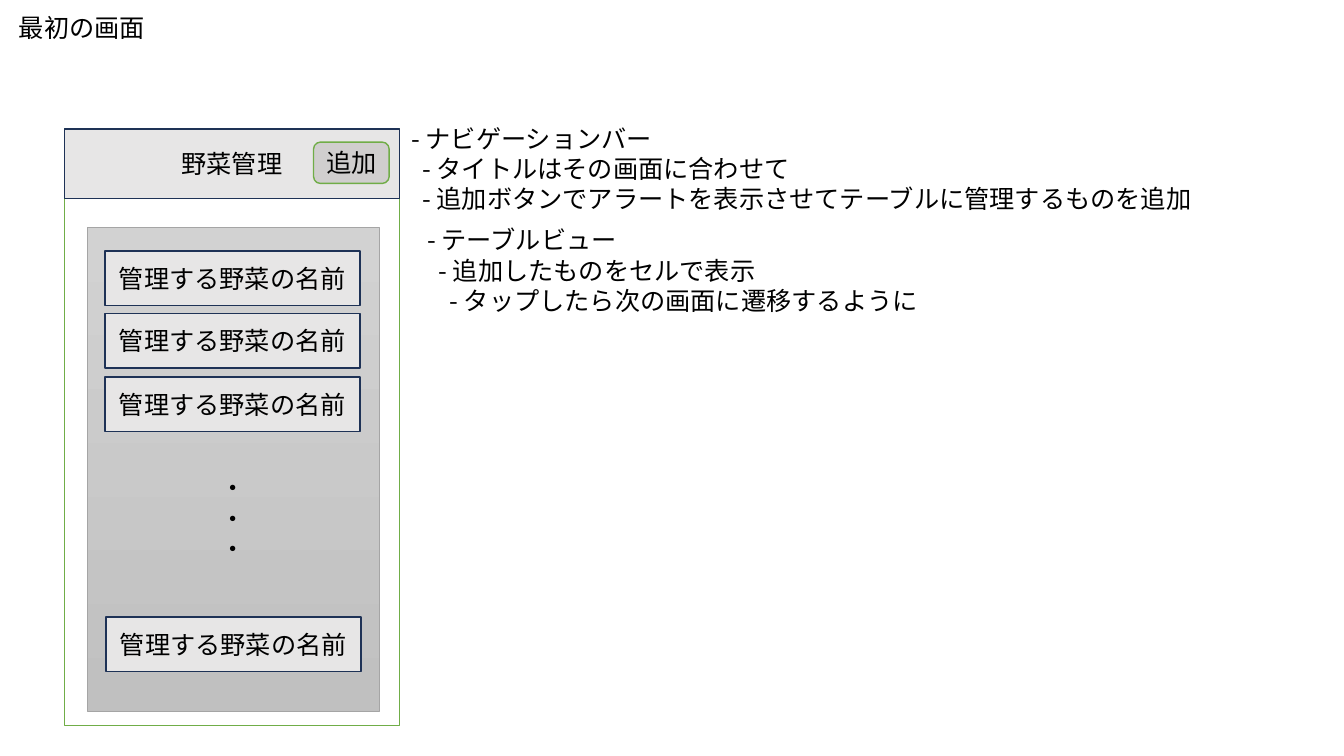
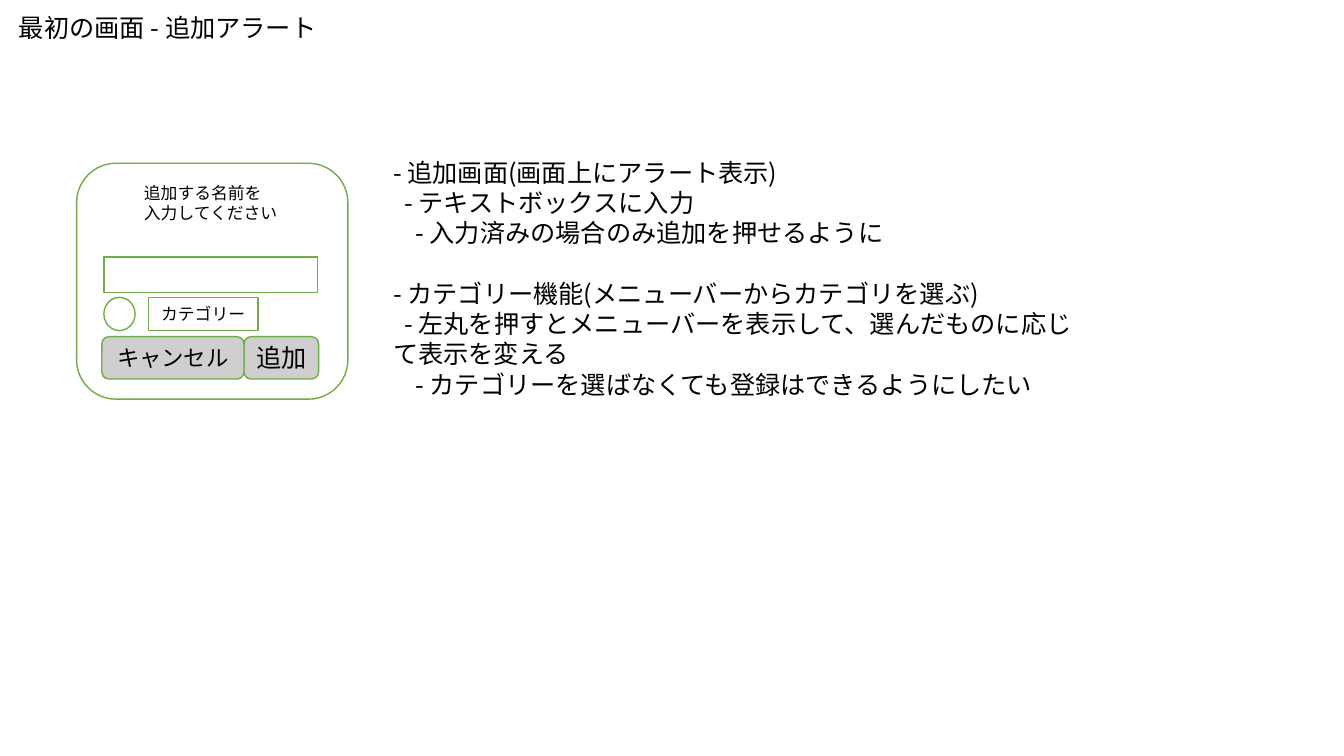
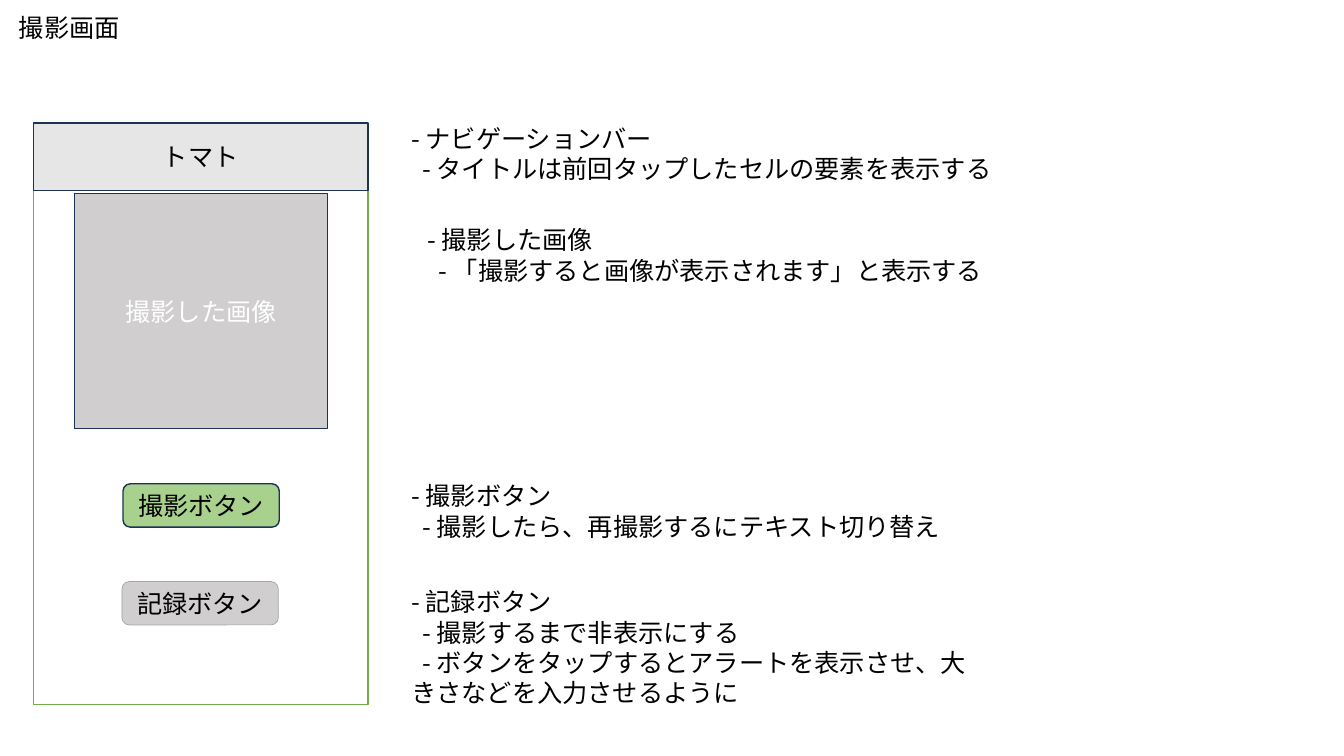
from lxml import etree
from pptx import Presentation
from pptx.dml.color import RGBColor
from pptx.enum import shapes, text
from pptx.oxml import ns
from pptx.util import Pt

PX = 9144  # 100 px to the inch
FONT = "Noto Sans CJK JP"
BLACK = RGBColor(0x00, 0x00, 0x00)
WHITE = RGBColor(0xFF, 0xFF, 0xFF)
GREEN = RGBColor(0x70, 0xAD, 0x47)
LIGHT_GREEN = RGBColor(0xA9, 0xD1, 0x8E)
NAVY = RGBColor(0x1E, 0x32, 0x56)
PALE = RGBColor(0xE7, 0xE6, 0xE6)
SILVER = RGBColor(0xD0, 0xCE, 0xCE)
GREY = RGBColor(0xA5, 0xA5, 0xA5)
TABLE_TOP = RGBColor(0xD2, 0xD2, 0xD2)
TABLE_BOTTOM = RGBColor(0xC0, 0xC0, 0xC0)

RECT = shapes.MSO_SHAPE.RECTANGLE
ROUND = shapes.MSO_SHAPE.ROUNDED_RECTANGLE
OVAL = shapes.MSO_SHAPE.OVAL

# style: preset, fill (a pair is a top-to-bottom gradient), line, width, text colour
STYLES = {
    "screen": (RECT, WHITE, GREEN, 1, BLACK),
    "alert": (ROUND, WHITE, GREEN, 1, BLACK),
    "radio": (OVAL, WHITE, GREEN, 1, BLACK),
    "bar": (RECT, PALE, NAVY, 1, BLACK),
    "table": (RECT, (TABLE_TOP, TABLE_BOTTOM), GREY, 0.5, BLACK),
    "photo": (RECT, SILVER, NAVY, 1, WHITE),
    "button": (ROUND, SILVER, GREEN, 1, BLACK),
    "shoot": (ROUND, LIGHT_GREEN, NAVY, 1, BLACK),
    "record": (ROUND, SILVER, GREY, 0.5, BLACK),
}

TITLE_BOX = (9, 7, 387, 40)
NOTE_INDENT = 11
NOTE_GAP = 21.6  # one line, in points
CELL_TEXT = "管理する野菜の名前"
CELLS = [("bar", (104, 249 + i * 125 // 2, 253, 54), CELL_TEXT, 18)
         for i in range(3)]

# parts: style, box, label, size
# captions: box, size, lines
# notes: box, groups of (level, line)
SLIDES = [
    {
        "title": "最初の画面",
        "parts": [
            ("screen", (64, 128, 332, 592), "", 18),
            ("table", (87, 226, 289, 480), "", 18),
            *CELLS,
            ("bar", (105, 612, 253, 54), CELL_TEXT, 18),
            ("bar", (64, 128, 332, 69), "野菜管理", 18),
            ("button", (311, 141, 75, 41), "追加", 18),
        ],
        "captions": [((209, 464, 47, 104), 18, ["・・・"])],
        "notes": [
            ((398, 117, 821, 101), [[
                (0, "ナビゲーションバー"),
                (1, "タイトルはその画面に合わせて"),
                (1, "追加ボタンでアラートを表示させてテーブルに管理するものを追加"),
            ]]),
            ((414, 218, 783, 101), [[
                (0, "テーブルビュー"),
                (1, "追加したものをセルで表示"),
                (2, "タップしたら次の画面に遷移するように"),
            ]]),
        ],
    },
    {
        "title": "最初の画面 - 追加アラート",
        "parts": [
            ("alert", (76, 162, 269, 234), "", 18),
            ("button", (242, 334, 74, 42), "追加", 18),
            ("screen", (103, 255, 212, 35), "", 18),
            ("button", (101, 334, 141, 42), "キャンセル", 16),
            ("radio", (103, 295, 31, 33), "", 18),
            ("screen", (147, 295, 109, 33), "カテゴリー", 12),
        ],
        "captions": [
            ((133, 176, 156, 51), 12, ["追加する名前を", "入力してください"]),
        ],
        "notes": [
            ((380, 151, 694, 252), [
                [
                    (0, "追加画面(画面上にアラート表示)"),
                    (1, "テキストボックスに入力"),
                    (2, "入力済みの場合のみ追加を押せるように"),
                ],
                [
                    (0, "カテゴリー機能(メニューバーからカテゴリを選ぶ)"),
                    (1, "左丸を押すとメニューバーを表示して、選んだものに応じて表示を変える"),
                    (2, "カテゴリーを選ばなくても登録はできるようにしたい"),
                ],
            ]),
        ],
    },
    {
        "title": "撮影画面",
        "parts": [
            ("screen", (33, 123, 332, 576), "", 18),
            ("shoot", (122, 480, 155, 43), "撮影ボタン", 18),
            ("record", (121, 577, 155, 43), "記録ボタン", 18),
            ("photo", (74, 192, 251, 233), "撮影した画像", 18),
            ("bar", (33, 122, 332, 67), "トマト", 18),
        ],
        "captions": [],
        "notes": [
            ((398, 117, 821, 71), [[
                (0, "ナビゲーションバー"),
                (1, "タイトルは前回タップしたセルの要素を表示する"),
            ]]),
            ((414, 218, 783, 71), [[
                (0, "撮影した画像"),
                (1, "「撮影すると画像が表示されます」と表示する"),
            ]]),
            ((398, 472, 578, 71), [[
                (0, "撮影ボタン"),
                (1, "撮影したら、再撮影するにテキスト切り替え"),
            ]]),
            ((398, 577, 578, 131), [[
                (0, "記録ボタン"),
                (1, "撮影するまで非表示にする"),
                (1, "ボタンをタップするとアラートを表示させ、大きさなどを入力させるように"),
            ]]),
        ],
    },
]


def emu(box):
    return [v * PX for v in box]


def write(p, line, size, color=BLACK):
    p.text = line
    p.font.size = Pt(size)
    p.font.color.rgb = color
    p.font.name = FONT
    props = p._p.pPr.find(ns.qn("a:defRPr"))
    etree.SubElement(props, ns.qn("a:ea"), typeface=FONT)


def add_lines(s, box, lines, size=18):
    """Add a wrapping text box and return its paragraphs."""
    tf = s.shapes.add_textbox(*emu(box)).text_frame
    tf.word_wrap = True
    for i, line in enumerate(lines):
        write(tf.add_paragraph() if i else tf.paragraphs[0], line, size)
    return tf.paragraphs


def add_notes(s, box, groups):
    """Add dashed notes; only the first line of each is indented."""
    rows = [(level, line, g > 0 and i == 0)
            for g, group in enumerate(groups)
            for i, (level, line) in enumerate(group)]
    paragraphs = add_lines(s, box, [f"- {line}" for _, line, _ in rows])
    for p, (level, _, opens_group) in zip(paragraphs, rows):
        p._p.pPr.set("marL", "0")
        p._p.pPr.set("indent", str(level * NOTE_INDENT * PX))
        if opens_group:
            p.space_before = Pt(NOTE_GAP)


def add_part(s, style, box, label, size):
    preset, fill, line, width, color = STYLES[style]
    sp = s.shapes.add_shape(preset, *emu(box))
    sp.shadow.inherit = False
    if isinstance(fill, RGBColor):
        sp.fill.solid()
        sp.fill.fore_color.rgb = fill
    else:
        sp.fill.gradient()
        sp.fill.gradient_angle = 270
        for stop, shade in zip(sp.fill.gradient_stops, fill):
            stop.color.rgb = shade
    sp.line.color.rgb = line
    sp.line.width = Pt(width)
    if label:
        tf = sp.text_frame
        tf.word_wrap = False
        tf.vertical_anchor = text.MSO_ANCHOR.MIDDLE
        p = tf.paragraphs[0]
        p.alignment = text.PP_ALIGN.CENTER
        write(p, label, size, color)


def main():
    prs = Presentation()
    prs.slide_width, prs.slide_height = emu((1333, 750))
    for content in SLIDES:
        s = prs.slides.add_slide(prs.slide_layouts[6])
        add_lines(s, TITLE_BOX, [content["title"]])
        for part in content["parts"]:
            add_part(s, *part)
        for box, size, lines in content["captions"]:
            add_lines(s, box, lines, size)
        for box, groups in content["notes"]:
            add_notes(s, box, groups)
    prs.save("out.pptx")


if __name__ == "__main__":
    main()
